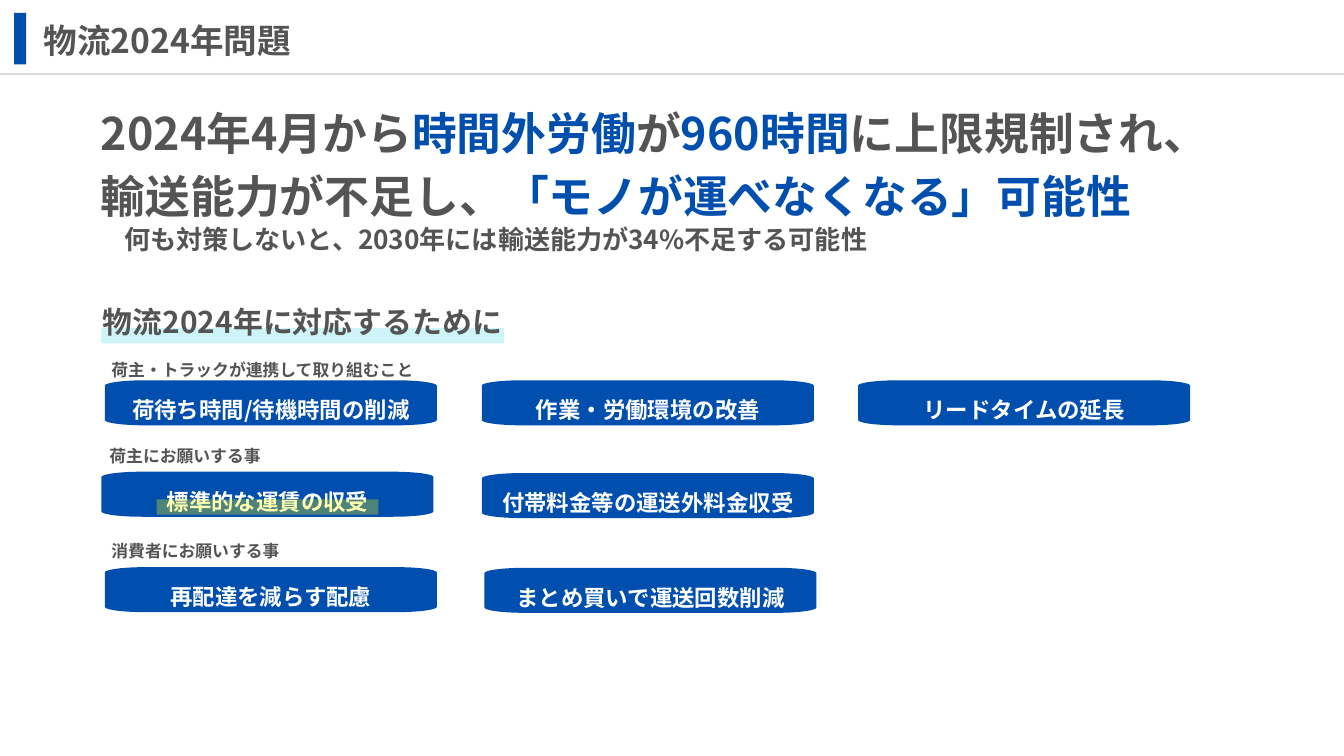
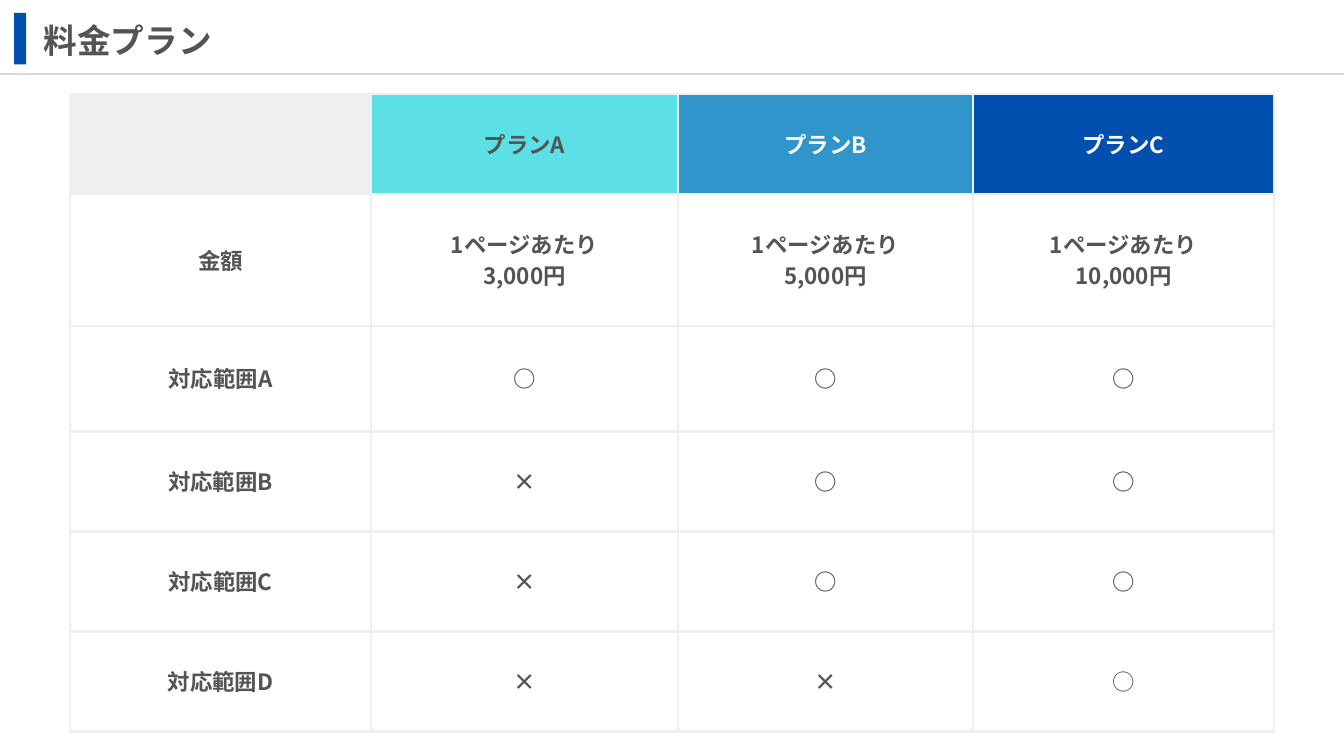
from math import cos, pi, sin
from lxml.etree import SubElement
from pptx import Presentation
from pptx.dml.color import RGBColor
from pptx.enum.shapes import MSO_CONNECTOR, MSO_SHAPE
from pptx.enum.text import MSO_ANCHOR, MSO_AUTO_SIZE, PP_ALIGN
from pptx.oxml.ns import qn
from pptx.util import Inches, Pt

FONT = "Noto Sans CJK JP"
COLORS = {
    "text": "545454", "blue": "004EAE", "sky": "3095CB", "aqua": "5CDFE5",
    "yellow": "FFFF00", "white": "FFFFFF", "rule": "D9D9D9", "grid": "EFEFEF",
}

# Label, label place, then each pill's left, top and text
GROUPS = [
    ("荷主・トラックが連携して取り組むこと", (1.56, 5.3), [
        (1.56, 5.66, "荷待ち時間/待機時間の削減"),
        (7.17, 5.66, "作業・労働環境の改善"),
        (12.77, 5.66, "リードタイムの延長")]),
    ("荷主にお願いする事", (1.53, 6.59), [
        (1.51, 7.02, "標準的な運賃の収受"),
        (7.17, 7.04, "付帯料金等の運送外料金収受")]),
    ("消費者にお願いする事", (1.56, 8), [
        (1.56, 8.44, "再配達を減らす配慮"),
        (7.21, 8.45, "まとめ買いで運送回数削減")]),
]

PLANS = [
    ["", "プランA", "プランB", "プランC"],
    ["金額", "1ページあたり\n3,000円", "1ページあたり\n5,000円", "1ページあたり\n10,000円"],
    ["対応範囲A", "○", "○", "○"],
    ["対応範囲B", "×", "○", "○"],
    ["対応範囲C", "×", "○", "○"],
    ["対応範囲D", "×", "×", "○"],
]
HEADS = [("grid", "text"), ("aqua", "text"), ("sky", "white"), ("blue", "white")]
WIDTHS = [4.48, 4.57, 4.39, 4.48]
HEIGHTS = [1.49, 1.96, 1.57, 1.49, 1.49, 1.49]


def color(name):
    return RGBColor.from_string(COLORS[name])


def add_run(para, text, size, tint="text", bold=True):
    run = para.add_run()
    run.text = text
    font = run.font
    font.size, font.bold, font.name = Pt(size), bold, FONT
    font.color.rgb = color(tint)
    SubElement(font._element, qn("a:ea"), typeface=FONT)


def set_para(para, runs, size, space=None, align=PP_ALIGN.LEFT):
    para.alignment = align
    if space:
        para.line_spacing = Pt(space)
    for text, tint in runs:
        add_run(para, text, size, tint)


def set_frame(frame, inset=0, anchor=MSO_ANCHOR.TOP, fit=MSO_AUTO_SIZE.SHAPE_TO_FIT_TEXT):
    frame.word_wrap = True
    frame.auto_size = fit
    frame.vertical_anchor = anchor
    frame.margin_left = frame.margin_right = Inches(inset)
    frame.margin_top = frame.margin_bottom = Inches(inset / 2)


def add_box(slide, place, **style):
    frame = slide.shapes.add_textbox(*map(Inches, place)).text_frame
    set_frame(frame, **style)
    return frame


def paint(shape, tint, alpha=None):
    shape.shadow.inherit = False
    shape.line.fill.background()
    shape.fill.solid()
    shape.fill.fore_color.rgb = color(tint)
    if alpha:
        node = shape._element.spPr.find(".//" + qn("a:srgbClr"))
        SubElement(node, qn("a:alpha"), val=str(alpha * 1000))


def add_rect(slide, place, tint, alpha=None):
    paint(slide.shapes.add_shape(MSO_SHAPE.RECTANGLE, *map(Inches, place)), tint, alpha)


def add_pill(slide, left, top, text):
    wide, high, rx, ry = 4.94, 0.67, 0.6, 0.08
    steps = 12
    # Corner centres, clockwise from bottom right
    hubs = [(wide - rx, high - ry), (rx, high - ry), (rx, ry), (wide - rx, ry)]
    points = []
    for turn, (x, y) in enumerate(hubs):
        for step in range(steps + 1):
            angle = (turn + step / steps) * pi / 2
            points.append((Inches(left + x + rx * cos(angle)),
                           Inches(top + y + ry * sin(angle))))
    build = slide.shapes.build_freeform(*points[0])
    build.add_line_segments(points[1:])
    pill = build.convert_to_shape()
    paint(pill, "blue")
    set_frame(pill.text_frame, fit=MSO_AUTO_SIZE.NONE)
    pill.text_frame.margin_top = Inches(-0.02)
    set_para(pill.text_frame.paragraphs[0], [(text, "white")], 24, 47.6, PP_ALIGN.CENTER)


def add_slide(deck, text):
    slide = deck.slides.add_slide(deck.slide_layouts[5])
    # Header: blue bar, grey rule, title
    add_rect(slide, (0.21, 0.19, 0.18, 0.77), "blue")
    rule = slide.shapes.add_connector(
        MSO_CONNECTOR.STRAIGHT, 0, Inches(1.1), deck.slide_width, Inches(1.1))
    rule.line.color.rgb = color("rule")
    rule.line.width = Pt(3)
    SubElement(rule._element.spPr, qn("a:effectLst"))
    title = slide.shapes.title
    title.left, title.top, title.width, title.height = map(Inches, (0.65, 0.19, 18.23, 0.68))
    set_frame(title.text_frame, fit=MSO_AUTO_SIZE.NONE)
    set_para(title.text_frame.paragraphs[0], [(text, "text")], 36, 50.4)
    return slide


def add_lead(slide):
    frame = add_box(slide, (1.5, 1.44, 18.25, 2.35))
    set_para(frame.paragraphs[0], [
        ("2024年4月から", "text"), ("時間外労働", "blue"), ("が", "text"),
        ("960時間", "blue"), ("に上限規制され、", "text")], 48, 67.2)
    set_para(frame.add_paragraph(), [
        ("輸送能力が不足し、", "text"), ("「モノが運べなくなる」可能性", "blue")], 48, 67.2)
    note = frame.add_paragraph()
    note._p.get_or_add_pPr().set("marL", str(Inches(0.35)))
    set_para(note, [("何も対策しないと、2030年には輸送能力が34%不足する可能性", "text")], 28, 35)


def add_steps(slide):
    add_rect(slide, (1.51, 4.88, 5.99, 0.23), "aqua", 30)
    frame = add_box(slide, (1.53, 4.52, 7.5, 0.54), anchor=MSO_ANCHOR.MIDDLE)
    set_para(frame.paragraphs[0], [("物流2024年に対応するために", "text")], 32)
    for label, spot, pills in GROUPS:
        for pill in pills:
            add_pill(slide, *pill)
        frame = add_box(slide, (*spot, 4.89, 0.4), inset=0.1)
        set_para(frame.paragraphs[0], [(label, "text")], 18)
    # Marker over the fare pill
    add_rect(slide, (2.33, 7.43, 3.3, 0.23), "yellow", 30)


def set_edges(cell):
    props = cell._tc.get_or_add_tcPr()
    for spot, side in enumerate(("lnL", "lnR", "lnT", "lnB")):
        edge = SubElement(props, qn("a:" + side), w=str(Pt(3)))
        fill = SubElement(edge, qn("a:solidFill"))
        SubElement(fill, qn("a:srgbClr"), val=COLORS["grid"])
        props.insert(spot, edge)


def set_cell(cell, text, fill, tint, bold):
    cell.vertical_anchor = MSO_ANCHOR.MIDDLE
    cell.margin_left = cell.margin_right = Inches(0.21)
    cell.margin_top = cell.margin_bottom = Inches(0.21)
    if fill:
        cell.fill.solid()
        cell.fill.fore_color.rgb = color(fill)
    else:
        cell.fill.background()
    set_edges(cell)
    for index, line in enumerate(text.split("\n") if text else []):
        frame = cell.text_frame
        para = frame.add_paragraph() if index else frame.paragraphs[0]
        para.alignment = PP_ALIGN.CENTER
        para.line_spacing = Pt(33.6)
        add_run(para, line, 24, tint, bold)


def add_plans(slide):
    place = map(Inches, (1.04, 1.4, sum(WIDTHS), sum(HEIGHTS)))
    table = slide.shapes.add_table(len(PLANS), len(WIDTHS), *place).table
    table.first_row = table.horz_banding = False
    for col, width in zip(table.columns, WIDTHS):
        col.width = Inches(width)
    for row, height in zip(table.rows, HEIGHTS):
        row.height = Inches(height)
    last = (len(PLANS) - 1, len(WIDTHS) - 1)
    for r, line in enumerate(PLANS):
        for c, text in enumerate(line):
            fill, tint = (None, "text") if r else HEADS[c]
            set_cell(table.cell(r, c), text, fill, tint, (r, c) != last)


def main():
    deck = Presentation()
    deck.slide_width, deck.slide_height = Inches(20), Inches(11.25)
    # Slide 1: the 2024 problem
    slide = add_slide(deck, "物流2024年問題")
    add_lead(slide)
    add_steps(slide)
    # Slide 2: price plans
    add_plans(add_slide(deck, "料金プラン"))
    deck.save("out.pptx")


if __name__ == "__main__":
    main()
